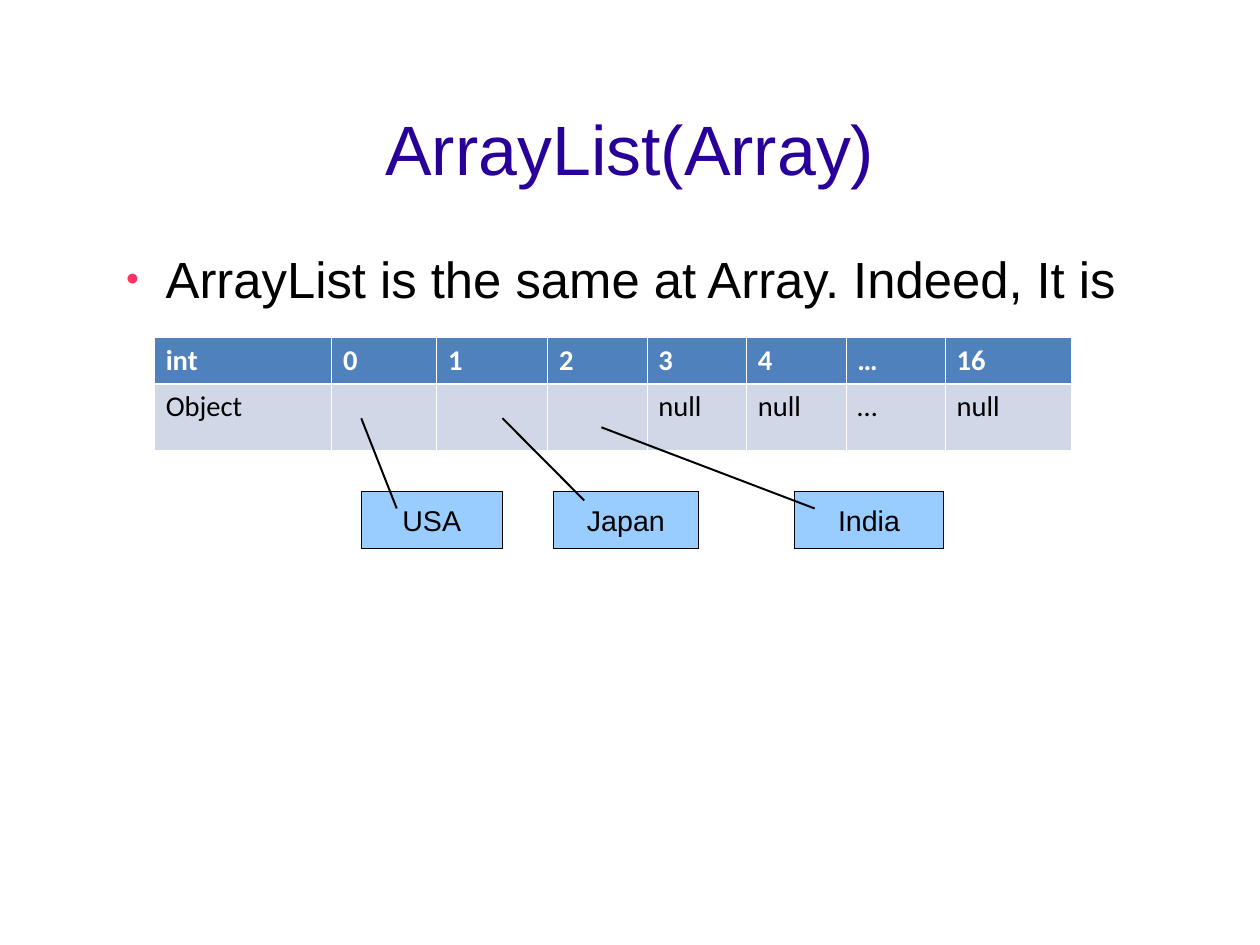
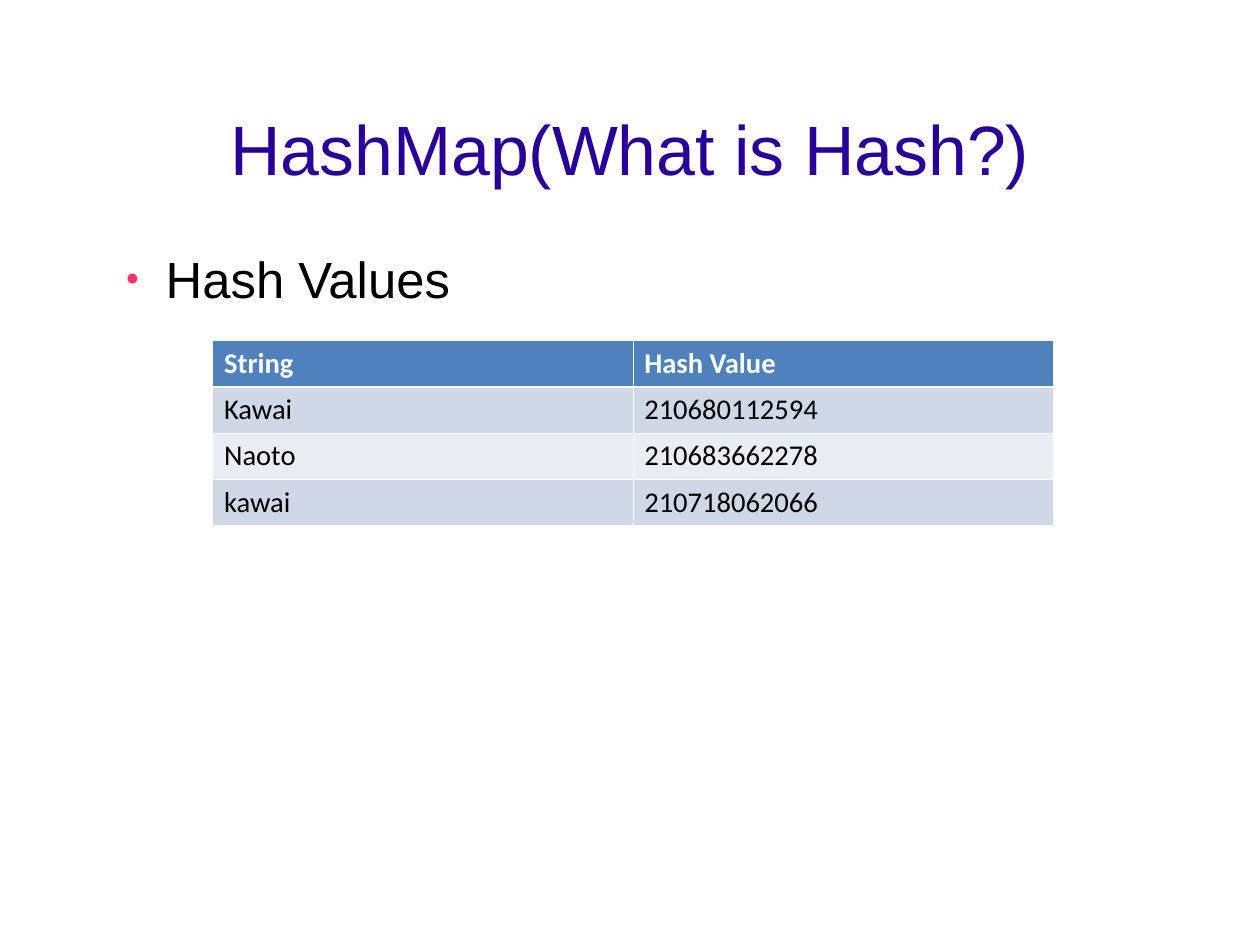
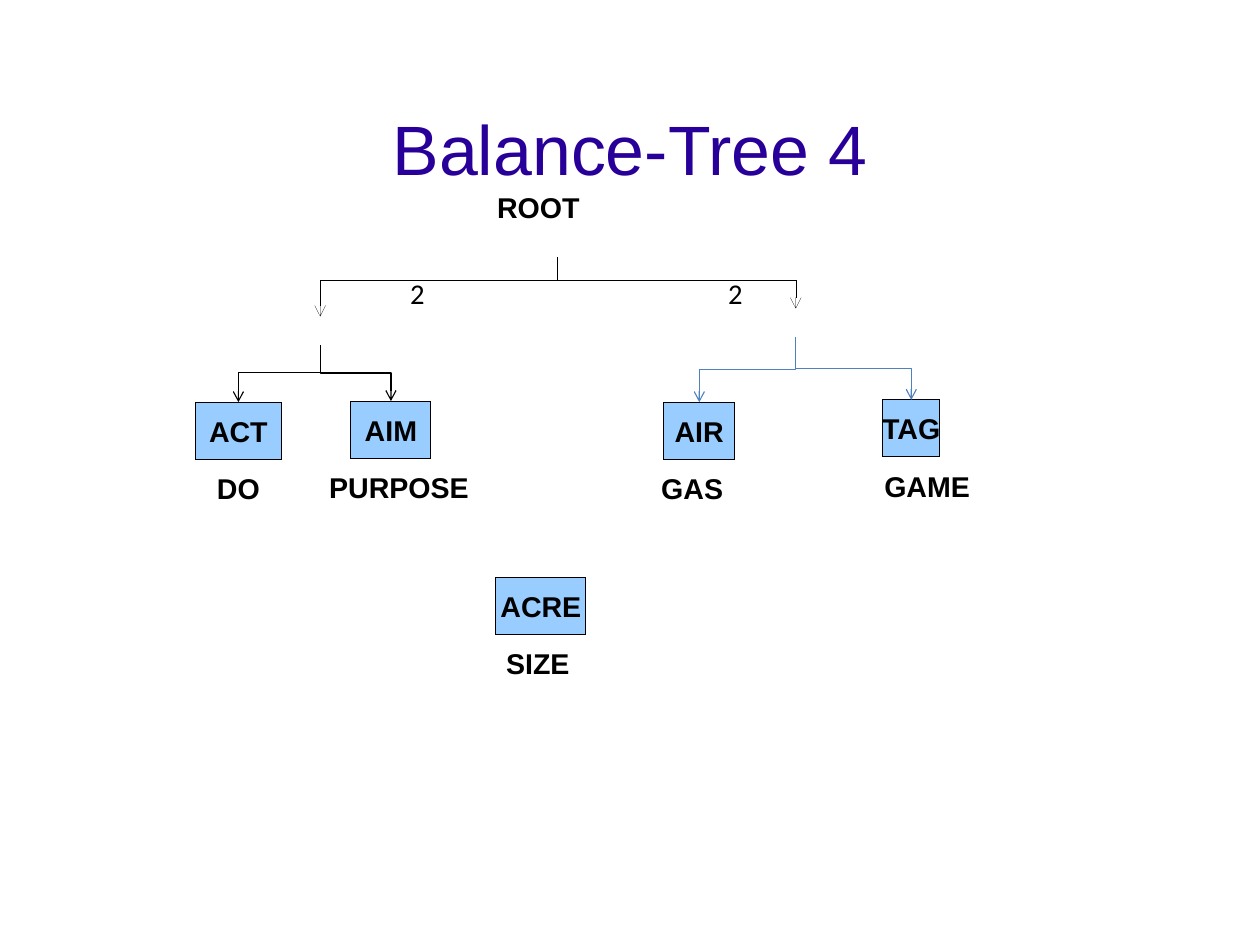
from lxml.etree import SubElement
from pptx import Presentation
from pptx.dml.color import RGBColor
from pptx.enum.shapes import MSO_CONNECTOR, MSO_SHAPE
from pptx.enum.text import MSO_ANCHOR, PP_ALIGN
from pptx.oxml.ns import qn
from pptx.util import Emu, Inches, Pt

WIDE, HIGH = Emu(10080625), Emu(7559675)
BLACK, WHITE, SKY = "000000", "FFFFFF", "99CCFF"
INDIGO, PINK, BLUE = "280099", "FF3366", "4F81BD"
BANDS = ["D0D8E8", "E9EDF4"]
HAIR = 0.01
BOX_ROWS = 6.05
CAP_COLS = 13


def across(cols):
    return Emu(round(cols * WIDE / 100))


def down(rows):
    return Emu(round(rows * HIGH / 100))


def place(x, y, w, h):
    return across(x), down(y), across(w), down(h)


def tint(code):
    return RGBColor.from_string(code)


def style(para, size=18, face="Arial", color=BLACK, bold=False):
    font = para.font
    font.size, font.name, font.bold = Pt(size), face, bold
    font.color.rgb = tint(color)


def inset(frame, x, y):
    frame.margin_left = frame.margin_right = Inches(x)
    frame.margin_top = frame.margin_bottom = Inches(y)


def label(slide, text, spot, pad=(0.1, 0.05), wrap=False, center=False, middle=False, **look):
    frame = slide.shapes.add_textbox(*place(*spot)).text_frame
    frame.word_wrap = wrap
    inset(frame, *pad)
    frame.vertical_anchor = MSO_ANCHOR.MIDDLE if middle else MSO_ANCHOR.TOP
    para = frame.paragraphs[0]
    para.text = text
    para.alignment = PP_ALIGN.CENTER if center else PP_ALIGN.LEFT
    style(para, **look)


def start(deck, title):
    slide = deck.slides.add_slide(deck.slide_layouts[6])
    label(slide, title, (7.14, 7.86, 85.75, 15.48), pad=(0, 0), wrap=True,
          center=True, middle=True, size=44, color=INDIGO)
    return slide


def bullet(slide, text, w, h):
    frame = slide.shapes.add_textbox(*place(8.89, 26.2, w, h)).text_frame
    frame.word_wrap = True
    inset(frame, 0, 0)
    para = frame.paragraphs[0]
    para.text = text
    props = para._p.get_or_add_pPr()
    props.set("marL", str(Inches(0.47)))
    props.set("indent", str(Inches(-0.35)))
    SubElement(SubElement(props, qn("a:buClr")), qn("a:srgbClr"), val=PINK)
    SubElement(props, qn("a:buSzPct"), val="45000")
    SubElement(props, qn("a:buFont"), typeface="Arial")
    SubElement(props, qn("a:buChar"), char="●")
    style(para, size=32)


def border(cell, row):
    props = cell._tc.get_or_add_tcPr()
    heavy = {"T": row == 1, "B": row == 0}
    for spot, side in enumerate("LRTB"):
        width = Pt(1.47 if heavy.get(side) else 0.45)
        line = SubElement(props, qn("a:ln" + side), w=str(width))
        SubElement(SubElement(line, qn("a:solidFill")), qn("a:srgbClr"), val=WHITE)
        props.insert(spot, line)


def grid(slide, x, y, cols, rows, texts):
    spot = place(x, y, sum(cols), sum(rows))
    table = slide.shapes.add_table(len(rows), len(cols), *spot).table
    for col, w in zip(table.columns, cols):
        col.width = across(w)
    for i, h in enumerate(rows):
        table.rows[i].height = down(h)
        for j, text in enumerate(texts[i]):
            cell = table.cell(i, j)
            cell.text = text
            cell.fill.solid()
            cell.fill.fore_color.rgb = tint(BANDS[(i - 1) % 2] if i else BLUE)
            border(cell, i)
            style(cell.text_frame.paragraphs[0], face="Calibri",
                  color=BLACK if i else WHITE, bold=i == 0)


def box(slide, text, x, y, w, bold=False):
    shape = slide.shapes.add_shape(MSO_SHAPE.RECTANGLE, *place(x, y, w, BOX_ROWS))
    shape.shadow.inherit = False
    shape.fill.solid()
    shape.fill.fore_color.rgb = tint(SKY)
    shape.line.color.rgb = tint(BLACK)
    shape.line.width = Pt(HAIR)
    frame = shape.text_frame
    frame.word_wrap = False
    inset(frame, 0, 0)
    frame.vertical_anchor = MSO_ANCHOR.MIDDLE
    para = frame.paragraphs[0]
    para.text = text
    para.alignment = PP_ALIGN.CENTER
    style(para, bold=bold)


def node(slide, text, note, mid, y, w, under):
    box(slide, text, mid - w / 2, y, w, bold=True)
    label(slide, note, (under - CAP_COLS / 2, y + BOX_ROWS, CAP_COLS, BOX_ROWS),
          pad=(0, 0), center=True, middle=True, bold=True)


def link(slide, kind, ends, color, width):
    line = slide.shapes.add_connector(kind, *ends)
    line.line.color.rgb = tint(color)
    line.line.width = Pt(width)
    SubElement(line.element.spPr, qn("a:effectLst"))
    return line


def wire(slide, x1, y1, x2, y2):
    ends = across(x1), down(y1), across(x2), down(y2)
    link(slide, MSO_CONNECTOR.STRAIGHT, ends, BLACK, 1.25)


def branch(slide, top, tip, bend=0.5, color=BLACK, width=0.75):
    x1, y1, x2, y2 = across(top[0]), down(top[1]), across(tip[0]), down(tip[1])
    right = x2 > x1
    mid_x, mid_y = (x1 + x2) // 2, (y1 + y2) // 2
    half_x, half_y = (y2 - y1) // 2, abs(x2 - x1) // 2
    if right:
        half_x = -half_x
    ends = mid_x - half_x, mid_y - half_y, mid_x + half_x, mid_y + half_y
    line = link(slide, MSO_CONNECTOR.ELBOW, ends, color, width)
    line.rotation = 270 if right else 90
    props = line.element.spPr
    SubElement(props.find(qn("a:ln")), qn("a:tailEnd"), type="arrow")
    guides = props.find(qn("a:prstGeom")).find(qn("a:avLst"))
    SubElement(guides, qn("a:gd"), name="adj1", fmla=f"val {round(bend * 100000)}")


def arrays(deck):
    slide = start(deck, "ArrayList(Array)")
    bullet(slide, "ArrayList is the same at Array. Indeed, It is", 86.3, 62.03)
    grid(slide, 12.25, 35.67, [14.07, 8.35, 8.8] + [7.89] * 4 + [9.98], [4.96, 7.01], [
        ["int", "0", "1", "2", "3", "4", "…", "16"],
        ["Object", "", "", "", "null", "null", "…", "null"],
    ])
    for text, x, w in [("USA", 28.67, 11.2), ("Japan", 43.92, 11.52), ("India", 63.07, 11.8)]:
        box(slide, text, x, 52, w)
    for ends in [(28.67, 44.26, 31.49, 53.81), (39.88, 44.26, 46.37, 52.96),
                 (47.73, 45.22, 64.66, 53.81)]:
        wire(slide, *ends)


def hashes(deck):
    slide = start(deck, "HashMap(What is Hash?)")
    bullet(slide, "Hash Values", 82.21, 53.93)
    grid(slide, 16.88, 36.03, [33.35] * 2, [4.9] * 4, [
        ["String", "Hash Value"],
        ["Kawai", "210680112594"],
        ["Naoto", "210683662278"],
        ["kawai", "210718062066"],
    ])


def tree(deck):
    slide = start(deck, "Balance-Tree 4")
    label(slide, "ROOT", (38.56, 19.47, 9.07, 4.84), bold=True)
    for x in (31.67, 56.9):
        label(slide, "2", (x, 28.6, 2.9, 4.84), face="Calibri")
    for item in [
        ("ACT", "DO", 18.92, 42.56, 6.81, 18.92),
        ("AIM", "PURPOSE", 31.03, 42.44, 6.35, 31.67),
        ("AIR", "GAS", 55.5, 42.56, 5.63, 54.94),
        ("TAG", "GAME", 72.32, 42.32, 4.54, 73.59),
        ("ACRE", "SIZE", 42.93, 61.07, 7.17, 42.69),
    ]:
        node(slide, *item)
    root, left, right = (44.24, 27.21), (25.41, 36.52), (63.16, 35.67)
    branch(slide, root, (25.41, 33.49), bend=0.38, width=HAIR)
    branch(slide, root, (63.16, 32.65), bend=0.44, width=HAIR)
    branch(slide, left, (18.92, 42.56), bend=0.48)
    branch(slide, left, (31.03, 42.44))
    branch(slide, right, (55.5, 42.56), color=BLUE)
    branch(slide, right, (72.32, 42.32), color=BLUE)


def main():
    deck = Presentation()
    deck.slide_width, deck.slide_height = WIDE, HIGH
    arrays(deck)
    hashes(deck)
    tree(deck)
    deck.save("out.pptx")


if __name__ == "__main__":
    main()
